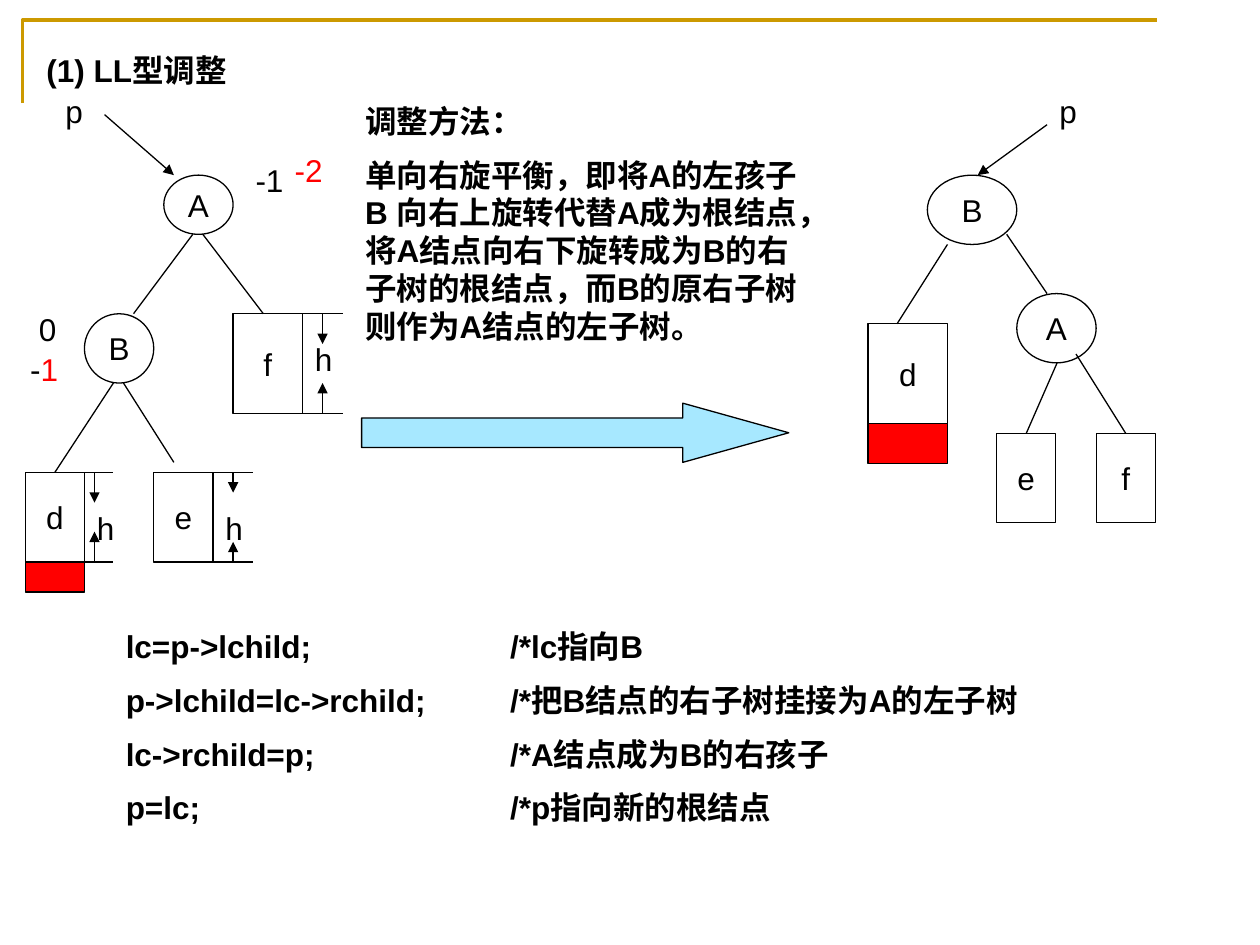
from dataclasses import dataclass

from lxml.etree import SubElement
from pptx import Presentation
from pptx.dml.color import RGBColor
from pptx.enum.shapes import MSO_CONNECTOR, MSO_SHAPE
from pptx.enum.text import MSO_ANCHOR, PP_ALIGN
from pptx.oxml.ns import qn
from pptx.util import Inches, Pt

BLACK = RGBColor(0, 0, 0)
WHITE = RGBColor(255, 255, 255)
RED = RGBColor(255, 0, 0)
GOLD = RGBColor(0xCC, 0x99, 0x00)
SKY = RGBColor(0xA7, 0xE8, 0xFF)
FONT = "Arial"
ELLIPSE, RECTANGLE = MSO_SHAPE.OVAL, MSO_SHAPE.RECTANGLE


@dataclass
class Node:
    name: str
    kind: int
    left: float
    top: float
    width: float
    height: float
    label: str = ""
    fill: RGBColor = WHITE


@dataclass
class Line:
    start: tuple[float, float]
    end: tuple[float, float]
    arrow: bool = False
    target: str = ""  # rectangle whose top middle the line joins


@dataclass
class HeightMark:
    top_left: float
    bottom_left: float
    right: float
    top: float
    bottom: float
    arrow_x: float
    arrow_length: float


@dataclass
class Label:
    left: float
    top: float
    width: float
    runs: list[tuple[str, RGBColor]]


NODES = [
    # Tree before the rotation
    Node("left A", ELLIPSE, 1.3, 1.39, 0.55, 0.47, "A"),
    Node("left B", ELLIPSE, 0.67, 2.49, 0.55, 0.55, "B"),
    Node("left f", RECTANGLE, 1.85, 2.49, 0.55, 0.79, "f"),
    Node("left d", RECTANGLE, 0.2, 3.75, 0.47, 0.71, "d"),
    Node("left e", RECTANGLE, 1.22, 3.75, 0.47, 0.71, "e"),
    Node("left added", RECTANGLE, 0.2, 4.46, 0.47, 0.24, fill=RED),
    # Tree after the rotation
    Node("right B", ELLIPSE, 7.36, 1.39, 0.71, 0.55, "B"),
    Node("right A", ELLIPSE, 8.07, 2.33, 0.63, 0.55, "A"),
    Node("right d", RECTANGLE, 6.89, 2.57, 0.63, 0.79, "d"),
    Node("right added", RECTANGLE, 6.89, 3.36, 0.63, 0.32, fill=RED),
    Node("right e", RECTANGLE, 7.91, 3.44, 0.47, 0.71, "e"),
    Node("right f", RECTANGLE, 8.7, 3.44, 0.47, 0.71, "f"),
]
LINES = [
    Line((1.53, 1.86), (1.06, 2.49)),
    Line((1.61, 1.86), (2.09, 2.49)),
    Line((0.9, 3.04), (0.43, 3.75), target="left d"),
    Line((0.98, 3.04), (1.38, 3.67)),
    Line((7.99, 1.86), (8.31, 2.33)),
    Line((7.52, 1.94), (7.12, 2.57)),
    Line((8.39, 2.88), (8.15, 3.44), target="right e"),
    Line((8.54, 2.81), (8.94, 3.44), target="right f"),
    # Pointers to the roots
    Line((0.83, 0.91), (1.38, 1.39), arrow=True),
    Line((8.31, 0.99), (7.76, 1.39), arrow=True),
]
HEIGHT_MARKS = [
    HeightMark(1.69, 1.61, 2.01, 3.75, 4.46, 1.85, 0.16),
    HeightMark(2.4, 2.4, 2.72, 2.49, 3.28, 2.56, 0.24),
    HeightMark(0.59, 0.59, 0.9, 3.75, 4.46, 0.75, 0.24),
]
LABELS = [
    Label(1.69, 3.99, 0.55, [("h", BLACK)]),
    Label(2.4, 2.65, 0.47, [("h", BLACK)]),
    Label(0.67, 3.99, 0.24, [("h", BLACK)]),
    Label(0.21, 2.41, 0.46, [("0", BLACK)]),
    Label(0.14, 2.73, 0.45, [("-", BLACK), ("1", RED)]),
    Label(1.93, 1.23, 0.94, [("-1", BLACK)]),
    Label(2.24, 1.15, 0.47, [("-2", RED)]),
    Label(0.42, 0.68, 0.68, [("p", BLACK)]),
    Label(8.31, 0.68, 0.71, [("p", BLACK)]),
]
METHOD = [
    "调整方法：",
    "单向右旋平衡，即将A的左孩子B 向右上旋转代替A成为根结点，将A结点向右下旋转成为B的右子树的根结点，"
    "而B的原右子树则作为A结点的左子树。",
]
CODE = [
    "lc=p->lchild;\t/*lc指向B",
    "p->lchild=lc->rchild;\t/*把B结点的右子树挂接为A的左子树",
    "lc->rchild=p;\t/*A结点成为B的右孩子",
    "p=lc;\t/*p指向新的根结点",
]
COMMENT_TAB = 3.05


def set_font(paragraph, bold: bool = False) -> None:
    paragraph.font.name = FONT
    paragraph.font.size = Pt(18)
    paragraph.font.bold = bold


def add_node(slide, node: Node):
    shape = slide.shapes.add_shape(node.kind, Inches(node.left), Inches(node.top),
                                   Inches(node.width), Inches(node.height))
    shape.shadow.inherit = False
    shape.fill.solid()
    shape.fill.fore_color.rgb = node.fill
    shape.line.color.rgb = BLACK
    shape.line.width = Pt(0.75)
    if node.label:
        frame = shape.text_frame
        frame.word_wrap = False
        frame.vertical_anchor = MSO_ANCHOR.MIDDLE
        paragraph = frame.paragraphs[0]
        paragraph.text = node.label
        paragraph.alignment = PP_ALIGN.CENTER
        set_font(paragraph)
        paragraph.font.color.rgb = BLACK
    return shape


def add_line(slide, line: Line, shapes: dict) -> None:
    points = [Inches(value) for value in (*line.start, *line.end)]
    connector = slide.shapes.add_connector(MSO_CONNECTOR.STRAIGHT, *points)
    connector.line.color.rgb = BLACK
    connector.line.width = Pt(0.75)
    if line.arrow:
        SubElement(connector.line._get_or_add_ln(), qn("a:tailEnd"), type="triangle")
    SubElement(connector._element.spPr, qn("a:effectLst"))
    if line.target:
        connector.end_connect(shapes[line.target], 0)


def mark_lines(mark: HeightMark) -> list[Line]:
    x, length = mark.arrow_x, mark.arrow_length
    return [
        Line((mark.top_left, mark.top), (mark.right, mark.top)),
        Line((mark.bottom_left, mark.bottom), (mark.right, mark.bottom)),
        Line((x, mark.top), (x, mark.top + length), arrow=True),
        Line((x, mark.bottom), (x, mark.bottom - length), arrow=True),
    ]


def add_frame(slide, left: float, top: float, width: float, height: float):
    box = slide.shapes.add_textbox(Inches(left), Inches(top), Inches(width), Inches(height))
    box.text_frame.word_wrap = True
    return box.text_frame


def add_label(slide, label: Label) -> None:
    paragraph = add_frame(slide, label.left, label.top, label.width, 0.4).paragraphs[0]
    set_font(paragraph)
    for text, color in label.runs:
        run = paragraph.add_run()
        run.text = text
        run.font.color.rgb = color


def add_text(slide, left: float, top: float, width: float, height: float,
             lines: list[str], tab: float = 0) -> None:
    frame = add_frame(slide, left, top, width, height)
    for index, text in enumerate(lines):
        paragraph = frame.add_paragraph() if index else frame.paragraphs[0]
        paragraph.text = text
        if index:
            paragraph.space_before = Pt(9)
        if tab:
            tabs = SubElement(paragraph._p.get_or_add_pPr(), qn("a:tabLst"))
            SubElement(tabs, qn("a:tab"), pos=str(Inches(tab)), algn="l")
        set_font(paragraph, bold=True)
        paragraph.font.color.rgb = BLACK


def main() -> None:
    presentation = Presentation()
    presentation.slide_width, presentation.slide_height = Inches(10), Inches(7.5)
    slide = presentation.slides.add_slide(presentation.slide_layouts[6])

    # Corner rule and title
    builder = slide.shapes.build_freeform(Inches(0.18), Inches(0.82))
    builder.add_line_segments([(Inches(0.18), Inches(0.16)), (Inches(9.18), Inches(0.16))],
                              close=False)
    corner = builder.convert_to_shape()
    corner.shadow.inherit = False
    corner.fill.background()
    corner.line.color.rgb = GOLD
    corner.line.width = Pt(2)
    add_text(slide, 0.27, 0.36, 7.88, 0.4, ["(1) LL型调整"])

    # Trees, height marks and labels
    shapes = {node.name: add_node(slide, node) for node in NODES}
    marks = [line for mark in HEIGHT_MARKS for line in mark_lines(mark)]
    for line in LINES + marks:
        add_line(slide, line, shapes)
    for label in LABELS:
        add_label(slide, label)

    # Rotation arrow
    arrow = add_node(slide, Node("rotation", MSO_SHAPE.RIGHT_ARROW, 2.87, 3.2, 3.39, 0.47, fill=SKY))
    arrow.adjustments[1] = 1.79

    # Explanation and code
    add_text(slide, 2.8, 0.76, 3.78, 2.05, METHOD)
    add_text(slide, 0.9, 4.93, 8.43, 2.21, CODE, COMMENT_TAB)
    presentation.save("out.pptx")


if __name__ == "__main__":
    main()
